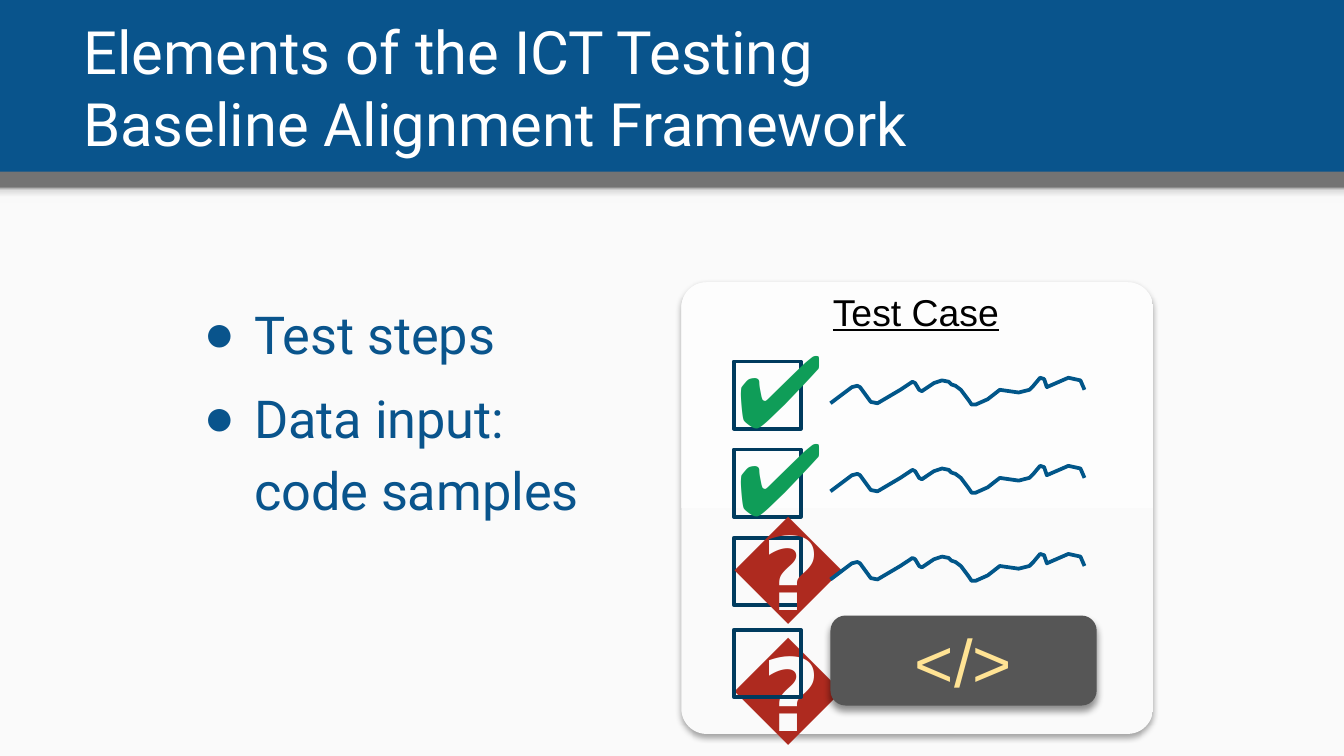
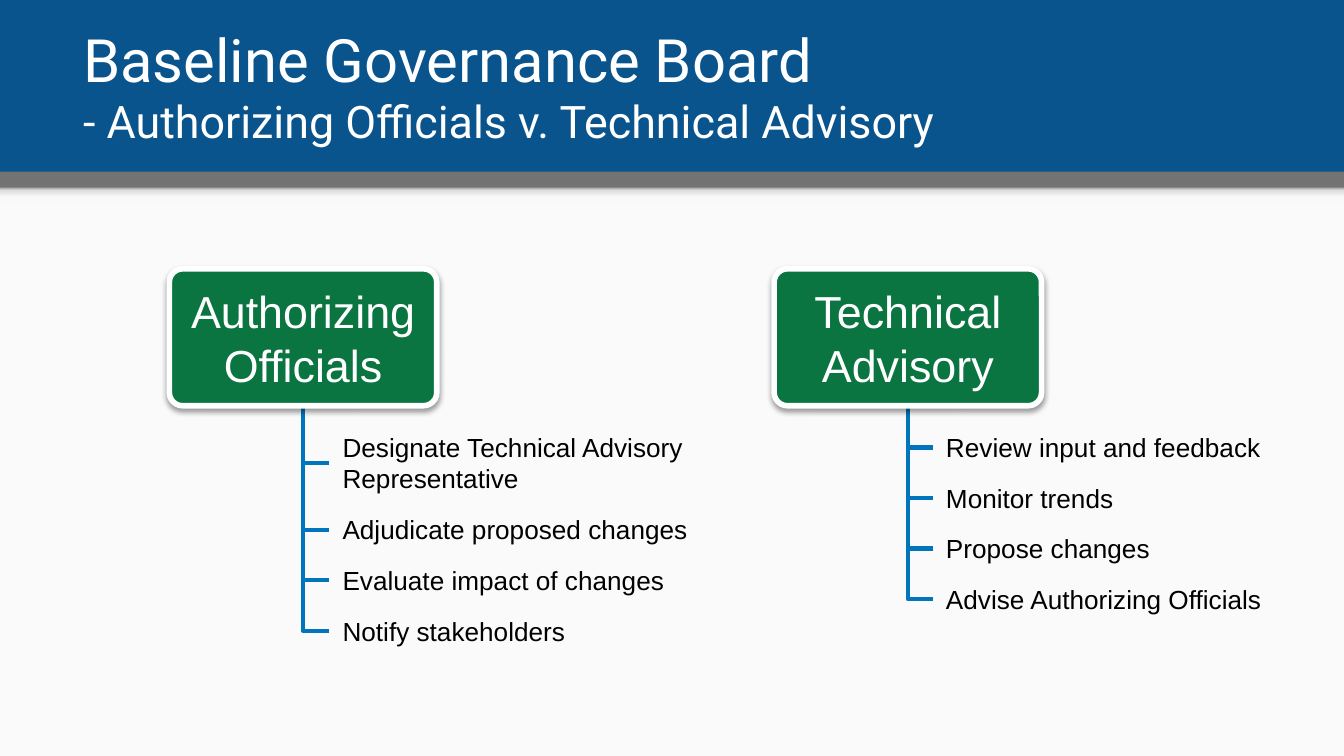
from pptx import Presentation
from pptx.dml.color import RGBColor
from pptx.enum.shapes import MSO_CONNECTOR, MSO_SHAPE
from pptx.enum.text import MSO_ANCHOR, MSO_AUTO_SIZE, PP_ALIGN
from pptx.oxml import parse_xml
from pptx.oxml.ns import nsdecls, qn
from pptx.util import Pt

RECTANGLE, ROUNDED = MSO_SHAPE.RECTANGLE, MSO_SHAPE.ROUNDED_RECTANGLE
ELBOW = MSO_CONNECTOR.ELBOW
LEFT, CENTER = PP_ALIGN.LEFT, PP_ALIGN.CENTER
MIDDLE, BOTTOM = MSO_ANCHOR.MIDDLE, MSO_ANCHOR.BOTTOM
FIXED, GROW = MSO_AUTO_SIZE.NONE, MSO_AUTO_SIZE.SHAPE_TO_FIT_TEXT

BLUE = RGBColor(0x09, 0x54, 0x8C)
PAPER = RGBColor(0xFA, 0xFA, 0xFA)
BAND_GRAY = RGBColor(0x73, 0x73, 0x73)
CARD_TOP = RGBColor(0xFD, 0xFD, 0xFD)
FADE_LIGHT = RGBColor(0xF9, 0xF9, 0xF9)
FADE_MID = RGBColor(0xDE, 0xDE, 0xDE)
FADE_DARK = RGBColor(0x99, 0x99, 0x99)
WHITE = RGBColor(0xFF, 0xFF, 0xFF)
BLACK = RGBColor(0, 0, 0)
NAVY = RGBColor(0x00, 0x3B, 0x5E)
INK = RGBColor(0x01, 0x56, 0x89)
TICK_GREEN = RGBColor(0x0F, 0x9D, 0x58)
CROSS_RED = RGBColor(0xAE, 0x2A, 0x1F)
CODE_GRAY = RGBColor(0x56, 0x56, 0x56)
CODE_YELLOW = RGBColor(0xFF, 0xE3, 0x94)
BOARD_GREEN = RGBColor(0x0B, 0x75, 0x42)
BRANCH_BLUE = RGBColor(0x00, 0x75, 0xBC)

HEADING_FONT, TEXT_FONT = "Roboto", "Arial"
WIDTH, HEIGHT = 720, 405
BAND_TOP, BAND_HEIGHT = 92, 8.4

# Scribbled line of text, in steps of SCRIBBLE_UNIT from its top left corner
SCRIBBLE_UNIT = Pt(0.72)
SCRIBBLE = [
    (0, 19), (16, 7), (20, 6), (22, 7), (30, 18), (35, 19), (52, 9), (58, 5),
    (61, 3), (63, 4), (66, 9), (68, 10), (77, 4), (83, 2), (88, 3), (90, 5),
    (93, 6), (97, 9), (103, 17), (105, 20), (108, 20), (117, 16), (126, 9),
    (140, 11), (148, 9), (151, 6), (156, 0), (159, 1), (161, 7), (177, 0),
    (186, 2), (189, 9),
]

COLUMNS = [
    (90.7, 85.7, "Authorizing Officials",
     [("Designate Technical Advisory Representative", 2),
      ("Adjudicate proposed changes", 1),
      ("Evaluate impact of changes", 1),
      ("Notify stakeholders", 1)]),
    (414.7, 85, "Technical Advisory",
     [("Review input and feedback", 1),
      ("Monitor trends", 1),
      ("Propose changes", 1),
      ("Advise Authorizing Officials", 1)]),
]


def points(*lengths):
    return [Pt(length) for length in lengths]


def format_text(frame, size, color, font=TEXT_FONT, align=CENTER, bold=None, underline=None):
    for para in frame.paragraphs:
        para.alignment = align
        for span in para.runs:
            span.font.name, span.font.size = font, Pt(size)
            span.font.color.rgb = color
            span.font.bold, span.font.underline = bold, underline


def add_box(shapes, kind, box, fill=None, line=None, line_width=2, radius=None):
    shape = shapes.add_shape(kind, *points(*box))
    if radius is not None:
        shape.adjustments[0] = radius
    if fill is None:
        shape.fill.background()
    else:
        shape.fill.solid()
        shape.fill.fore_color.rgb = fill
    if line is None:
        shape.line.fill.background()
    else:
        shape.line.color.rgb = line
        shape.line.width = Pt(line_width)
    shape.shadow.inherit = False
    return shape


def add_label(shapes, box, text, size, color, **style):
    label = shapes.add_textbox(*points(*box))
    frame = label.text_frame
    frame.word_wrap = True
    frame.auto_size = GROW
    frame.text = text
    format_text(frame, size, color, **style)


def fade_upwards(shape, stops):
    """Replace the solid fill by a gradient that runs from bottom to top."""
    marks = "".join(
        f'<a:gs pos="{percent * 1000}"><a:srgbClr val="{color}"/></a:gs>'
        for percent, color in stops)
    solid = shape.element.spPr.find(qn("a:solidFill"))
    solid.getparent().replace(solid, parse_xml(
        f'<a:gradFill {nsdecls("a")}><a:gsLst>{marks}</a:gsLst>'
        '<a:lin ang="16200000" scaled="0"/></a:gradFill>'))


def drop_shadow(shape, opacity, blur, distance):
    shape.element.spPr.find(qn("a:effectLst")).append(parse_xml(
        f'<a:outerShdw {nsdecls("a")} blurRad="{Pt(blur)}" dist="{Pt(distance)}" '
        'dir="5400000" algn="t" rotWithShape="0"><a:srgbClr val="000000">'
        f'<a:alpha val="{opacity * 1000}"/></a:srgbClr></a:outerShdw>'))


def dress_master(deck, page):
    """Draw the shared bands on a page and move them to the slide master."""
    background = deck.slide_master.background.fill
    background.solid()
    background.fore_color.rgb = BLUE
    below = BAND_TOP + BAND_HEIGHT
    paper = add_box(page.shapes, RECTANGLE, (0, below, WIDTH, HEIGHT - below), PAPER)
    fade = add_box(page.shapes, RECTANGLE, (0, below, WIDTH, BAND_HEIGHT), FADE_LIGHT)
    fade_upwards(fade, [(0, FADE_LIGHT), (36, FADE_LIGHT), (80, FADE_MID), (100, FADE_DARK)])
    band = add_box(page.shapes, RECTANGLE, (0, BAND_TOP, WIDTH, BAND_HEIGHT), BAND_GRAY)
    tree = deck.slide_master.element.cSld.spTree
    for position, shape in enumerate((paper, fade, band), start=2):
        tree.insert(position, shape.element)


def place_placeholder(holder, box, text):
    holder.left, holder.top, holder.width, holder.height = points(*box)
    frame = holder.text_frame
    frame.text = text
    frame.word_wrap, frame.auto_size = True, FIXED
    frame.margin_left = frame.margin_right = Pt(7.2)
    frame.margin_top = frame.margin_bottom = Pt(7.2)
    return frame


def set_title(page, top, text):
    frame = place_placeholder(page.shapes.title, (37.4, top, 647.3, 72), text)
    frame.vertical_anchor = BOTTOM
    format_text(frame, 32, WHITE, HEADING_FONT, LEFT)
    return frame


def fill_bullets(holder, box, text):
    frame = place_placeholder(holder, box, text)
    format_text(frame, 28, BLUE, HEADING_FONT, LEFT)
    for para in frame.paragraphs:
        para.line_spacing, para.space_before = 1.15, Pt(6)
        properties = para._p.get_or_add_pPr()
        properties.set("marL", str(Pt(36)))
        properties.set("indent", str(Pt(-27)))
        for bullet in (f'<a:buClr {nsdecls("a")}><a:srgbClr val="{BLUE}"/></a:buClr>',
                       f'<a:buChar {nsdecls("a")} char="●"/>'):
            properties.append(parse_xml(bullet))


def add_scribble(shapes, left, top):
    builder = shapes.build_freeform(*SCRIBBLE[0], scale=SCRIBBLE_UNIT)
    builder.add_line_segments(SCRIBBLE[1:], close=False)
    scribble = builder.convert_to_shape(Pt(left), Pt(top))
    scribble.fill.background()
    scribble.line.color.rgb = INK
    scribble.line.width = Pt(2)
    scribble.shadow.inherit = False


def draw_test_case(page, box):
    left, top, width, height = box
    shapes = page.shapes.add_group_shape().shapes
    card = add_box(shapes, ROUNDED, box, PAPER, radius=0.056)
    fade_upwards(card, [(0, PAPER), (100, CARD_TOP)])
    drop_shadow(card, 35, 3.1, 1.8)

    check_left, check_size = left + 28.1, 36
    checks = [top + 42.5 + row * 47.2 for row in range(3)]
    marks = [("✔", TICK_GREEN, -5.8, -22.3, 57.6)] * 2 + [("🗶", CROSS_RED, -7.9, -18.7, 49)]
    for check_top, (mark, color, shift, rise, mark_width) in zip(checks, marks):
        add_box(shapes, RECTANGLE, (check_left, check_top, check_size, check_size), line=NAVY)
        add_label(shapes, (check_left + shift, check_top + rise, mark_width, 72.7),
                  mark, 54, color, bold=True)
    add_label(shapes, (left + 34.6, top, 182.2, 31.5), "Test Case", 20, BLACK, underline=True)
    for check_top in checks:
        add_scribble(shapes, left + 79.9, check_top + 8.7)

    code = add_box(shapes, ROUNDED, (left + 79.9, top + 178.6, 142.6, 48.2), CODE_GRAY,
                   radius=0.167)
    drop_shadow(code, 43, 4, 3)
    frame = code.text_frame
    frame.text = "</>"
    frame.margin_top = frame.margin_bottom = 0
    frame.vertical_anchor = MIDDLE
    format_text(frame, 36, CODE_YELLOW)
    add_box(shapes, RECTANGLE, (check_left, top + 186.3, check_size, check_size), line=NAVY)


def add_branch(shapes, start, end):
    """Draw an elbow that goes down from start, then right to end."""
    (left, top), (right, bottom) = start, end
    middle_x, middle_y = (left + right) / 2, (top + bottom) / 2
    half_run, half_drop = (right - left) / 2, (bottom - top) / 2
    branch = shapes.add_connector(ELBOW, *points(
        middle_x + half_drop, middle_y - half_run, middle_x - half_drop, middle_y + half_run))
    branch.line.color.rgb = BRANCH_BLUE
    branch.line.width = Pt(2.25)
    properties = branch.element.spPr
    properties.find(qn("a:xfrm")).set("rot", "16200000")
    properties.find(qn("a:prstGeom")).set("prst", "bentConnector2")
    properties.append(parse_xml(f'<a:effectLst {nsdecls("a")}/>'))


def draw_board_column(page, box, indent, heading, duties):
    left, top, width, height = box
    trunk = (left + width / 2, top + height)
    duty_left, duty_top = left + indent, top + height + 10.2
    for duty, lines in duties:
        duty_height = 7.2 + 17 * lines
        add_branch(page.shapes, trunk, (duty_left, duty_top + duty_height / 2))
        add_label(page.shapes, (duty_left, duty_top, 210.2, duty_height), duty, 14, BLACK,
                  align=LEFT)
        duty_top += duty_height + 2.9
    head = add_box(page.shapes, ROUNDED, box, BOARD_GREEN, WHITE, 3, radius=0.097)
    drop_shadow(head, 38, 3.1, 1.6)
    head.text_frame.text = heading
    head.text_frame.vertical_anchor = MIDDLE
    format_text(head.text_frame, 24, WHITE)


def build_elements_slide(page):
    set_title(page, 20.2, "Elements of the ICT Testing\nBaseline Alignment Framework")
    fill_bullets(page.placeholders[1], (92.9, 149.8, 230.4, 213),
                 "Test steps\nData input: code samples")
    draw_test_case(page, (365, 151.2, 252.7, 242))


def build_board_slide(page):
    frame = set_title(page, 14.4, "Baseline Governance Board\v"
                                  "- Authorizing Officials v. Technical Advisory")
    frame.paragraphs[0].runs[1].font.size = Pt(24)
    for left, indent, heading, duties in COLUMNS:
        draw_board_column(page, (left, 144, 143.3, 73.4), indent, heading, duties)


def main():
    deck = Presentation()
    deck.slide_width, deck.slide_height = points(WIDTH, HEIGHT)
    elements = deck.slides.add_slide(deck.slide_layouts[1])
    board = deck.slides.add_slide(deck.slide_layouts[5])
    dress_master(deck, elements)
    build_elements_slide(elements)
    build_board_slide(board)
    deck.save("out.pptx")


if __name__ == "__main__":
    main()
